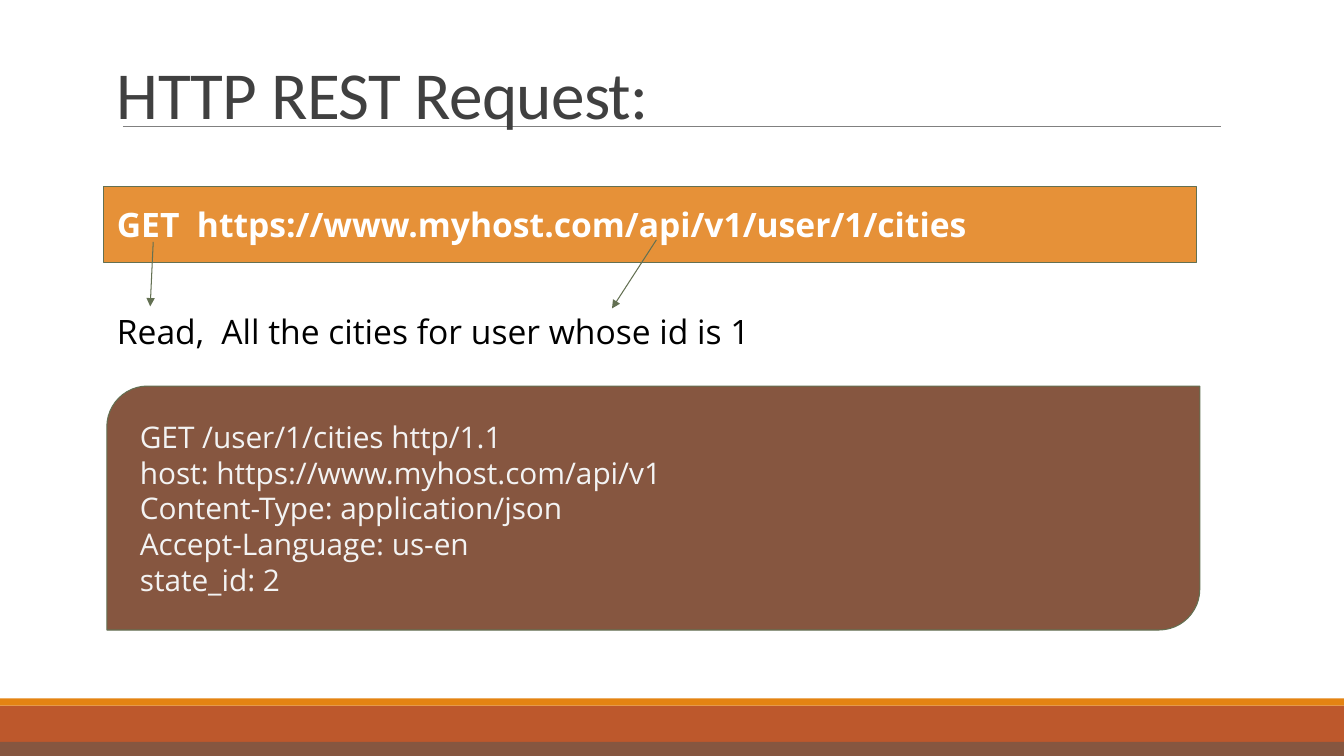
import pptx
import pptx.dml.color
import pptx.enum.shapes
import pptx.enum.text
import pptx.oxml.ns
import pptx.util
from dataclasses import dataclass
from lxml import etree

Inches = pptx.util.Inches
Pt = pptx.util.Pt
Shape = pptx.enum.shapes.MSO_SHAPE
Anchor = pptx.enum.text.MSO_ANCHOR
qn = pptx.oxml.ns.qn

# Content
TITLE = "HTTP REST Request:"
REQUEST = "GET  https://www.myhost.com/api/v1/user/1/cities"
MEANING = "Read,  All the cities for user whose id is 1"
HEADERS = [
    "GET /user/1/cities http/1.1",
    "host: https://www.myhost.com/api/v1",
    "Content-Type: application/json",
    "Accept-Language: us-en",
    "state_id: 2",
]
ARROWS = [  # from request part to its meaning
    ((1.52, 2.4), (1.49, 3.04)),
    ((6.51, 2.38), (6.07, 3.06)),
]


@dataclass(frozen=True)
class Theme:
    title_font: str = "Calibri"
    body_font: str = "Open Sans"
    title_size: float = 48
    body_size: float = 24
    header_size: float = 21.3
    title: str = "404040"
    text: str = "000000"
    white: str = "FFFFFF"
    pale: str = "F3F3F3"
    rust: str = "BD582C"
    orange: str = "E48312"
    request: str = "E69138"
    brown: str = "865640"
    rule: str = "808080"
    outline: str = "637052"


THEME = Theme()
SLIDE_WIDTH, SLIDE_HEIGHT = 13.33, 7.5
LEFT, PANEL_WIDTH = 1.03, 10.84
INSET = 0.13
HEADER_INDENT = 0.08
FOOTER_BANDS = [  # top, height, colour
    (7, 0.5, THEME.rust),
    (6.93, 0.07, THEME.orange),
    (7.36, 0.14, THEME.brown),
]

presentation = pptx.Presentation()
presentation.slide_width = Inches(SLIDE_WIDTH)
presentation.slide_height = Inches(SLIDE_HEIGHT)
slide = presentation.slides.add_slide(presentation.slide_layouts[6])


def rgb(colour):
    return pptx.dml.color.RGBColor.from_string(colour)


def add_panel(kind, box, fill, outline=None):
    shape = slide.shapes.add_shape(kind, *map(Inches, box))
    shape.shadow.inherit = False
    shape.fill.solid()
    shape.fill.fore_color.rgb = rgb(fill)
    if outline:
        shape.line.color.rgb = rgb(outline)
        shape.line.width = Pt(0.75)
    else:
        shape.line.fill.background()
    return shape


def add_line(start, end, colour, width, arrow=False):
    connector = slide.shapes.add_connector(
        pptx.enum.shapes.MSO_CONNECTOR.STRAIGHT, *map(Inches, start + end))
    connector.line.color.rgb = rgb(colour)
    connector.line.width = Pt(width)
    if arrow:
        line = connector.line._get_or_add_ln()
        etree.SubElement(line, qn("a:tailEnd"), type="triangle")
    etree.SubElement(connector._element.spPr, qn("a:effectLst"))


def write(shape, lines, font, size, colour, bold=False, anchor=Anchor.TOP):
    frame = shape.text_frame
    frame.word_wrap = True
    frame.vertical_anchor = anchor
    frame.margin_left = frame.margin_right = Inches(INSET)
    frame.margin_top = frame.margin_bottom = Inches(INSET)
    frame.text = "\n".join(lines)
    for paragraph in frame.paragraphs:
        paragraph.alignment = pptx.enum.text.PP_ALIGN.LEFT
        paragraph.font.name = font
        paragraph.font.size = Pt(size)
        paragraph.font.bold = bold
        paragraph.font.color.rgb = rgb(colour)
    return frame


def add_text(box, *style):
    return write(slide.shapes.add_textbox(*map(Inches, box)), *style)


# Footer bands and title rule
for top, height, colour in FOOTER_BANDS:
    add_panel(Shape.RECTANGLE, (0, top, SLIDE_WIDTH, height), colour)
add_line((1.22, 1.25), (12.11, 1.25), THEME.rule, 0.5)

# Title
title = add_text((LEFT, 0.51, 12.42, 1.03), [TITLE],
                 THEME.title_font, THEME.title_size, THEME.title).paragraphs[0]
title.line_spacing = 0.85
title.runs[0].font._element.set("spc", "-50")

# Request line and its meaning
request = add_panel(Shape.RECTANGLE, (LEFT, 1.85, PANEL_WIDTH, 0.75),
                    THEME.request, THEME.outline)
write(request, [REQUEST], THEME.body_font, THEME.body_size, THEME.white,
      bold=True, anchor=Anchor.MIDDLE)
add_text((LEFT, 2.95, 11.27, 0.5), [MEANING],
         THEME.body_font, THEME.body_size, THEME.text)
for start, end in ARROWS:
    add_line(start, end, THEME.outline, 0.75, arrow=True)

# Full request with headers
headers = add_panel(Shape.ROUND_2_DIAG_RECTANGLE, (1.06, 3.83, PANEL_WIDTH, 2.42),
                    THEME.brown, THEME.outline)
headers.adjustments[0] = 0.167
headers.adjustments[1] = 0
frame = write(headers, HEADERS, THEME.body_font, THEME.header_size, THEME.pale,
              anchor=Anchor.MIDDLE)
frame.margin_left = Inches(INSET + HEADER_INDENT)

presentation.save("out.pptx")
